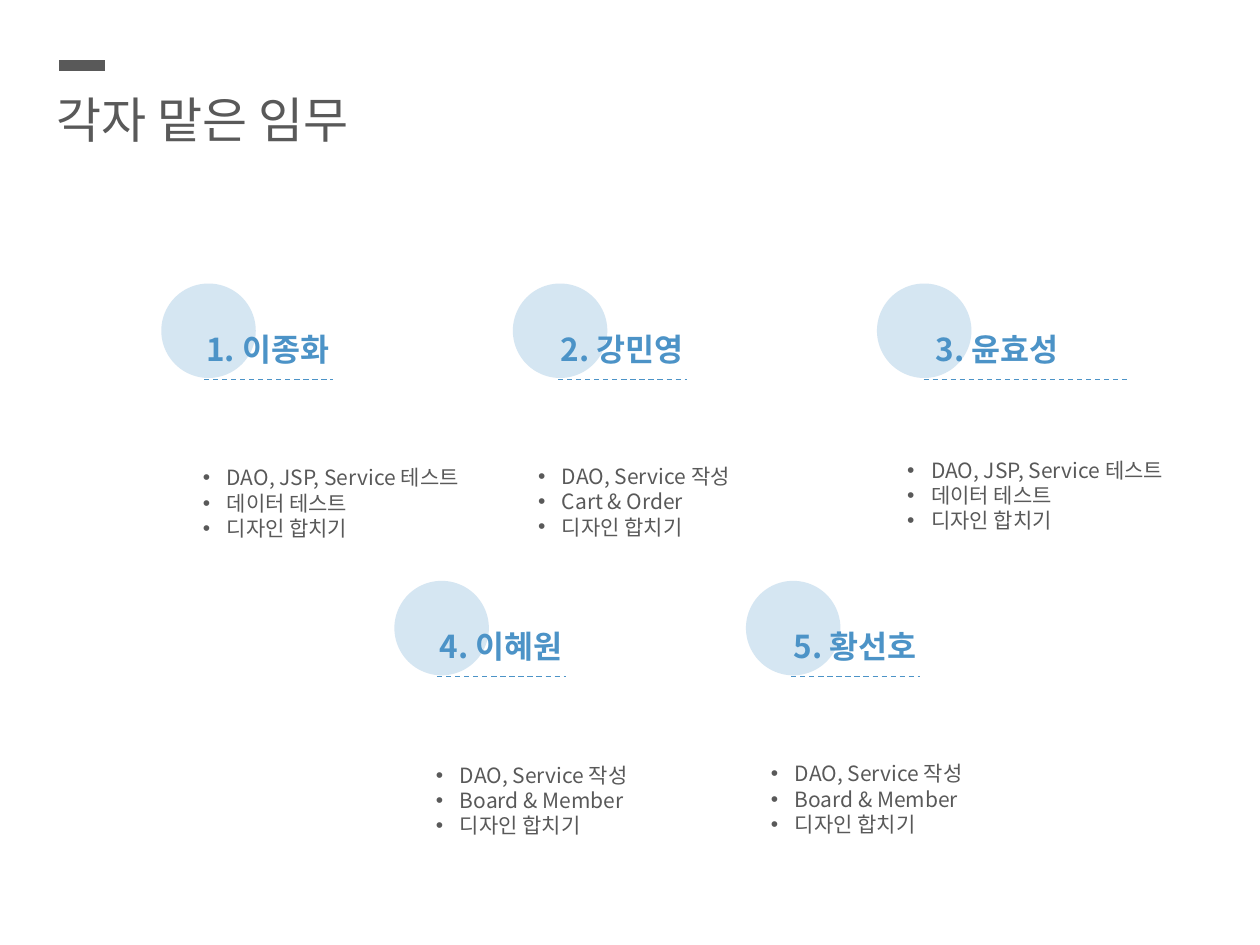
from dataclasses import dataclass

from lxml.etree import SubElement as Sub
from pptx import Presentation
from pptx.dml.color import RGBColor as RGB
from pptx.enum.dml import MSO_LINE as Dash
from pptx.enum.shapes import MSO_CONNECTOR as Conn, MSO_SHAPE as Kind
from pptx.enum.text import MSO_ANCHOR as Anchor, MSO_AUTO_SIZE as Fit, PP_ALIGN as Align
from pptx.oxml.ns import qn
from pptx.util import Inches as In, Pt


@dataclass(frozen=True)
class Theme:
    font: str = "Noto Sans CJK KR"
    gray: RGB = RGB(0x59, 0x59, 0x59)
    blue: RGB = RGB(0x4C, 0x93, 0xC7)
    alpha: int = 23
    title: int = 28
    head: int = 18
    list: int = 12
    lead: float = 1.2


@dataclass(frozen=True)
class Slot:
    """A column: circle left, then offsets from it, and the rule's length."""
    left: float
    head: float
    rule: float
    span: float
    list: float
    drop: float


THEME = Theme()
SLOTS = (
    Slot(1.28, 0.26, 0.34, 1.02, 0.23, 1.39),
    Slot(4.07, 0.28, 0.36, 1.02, 0.10, 1.38),
    Slot(6.96, 0.37, 0.37, 1.62, 0.14, 1.33),
)
TOP, STEP, SHIFT = 2.25, 2.36, 1.85
DISC, WIDE = 0.75, 2.56

DONE = "디자인 합치기"
# row, column, name, tasks
TEAM = (
    (0, 0, "1. 이종화", ("DAO, JSP, Service 테스트", "데이터 테스트", DONE)),
    (0, 1, "2. 강민영", ("DAO, Service 작성", "Cart & Order", DONE)),
    (0, 2, "3. 윤효성", ("DAO, JSP, Service 테스트", "데이터 테스트", DONE)),
    (1, 0, "4. 이혜원", ("DAO, Service 작성", "Board & Member", DONE)),
    (1, 1, "5. 황선호", ("DAO, Service 작성", "Board & Member", DONE)),
)


def place(box, x, y, w, h):
    box.left, box.top, box.width, box.height = In(x), In(y), In(w), In(h)


def write(box, lines, size, color, bold=False, dots=False):
    frame = box.text_frame
    frame.word_wrap = True
    frame.auto_size = Fit.NONE
    frame.vertical_anchor = Anchor.TOP
    for i, line in enumerate(lines):
        para = frame.add_paragraph() if i else frame.paragraphs[0]
        para.alignment = Align.LEFT
        para.line_spacing = Pt(size * THEME.lead)
        para.space_before = Pt(0)
        if dots:
            bullet(para)
        run = para.add_run()
        run.text = line
        font = run.font
        font.name, font.size, font.bold = THEME.font, Pt(size), bold
        font.color.rgb = color
        Sub(run._r.get_or_add_rPr(), qn("a:ea"), typeface=THEME.font)


def bullet(para):
    props = para._p.get_or_add_pPr()
    props.set("marL", str(In(0.19)))
    props.set("indent", str(In(-0.19)))
    Sub(props, qn("a:buFont"), typeface="Arial")
    Sub(props, qn("a:buChar"), char="•")


def rule(slide, x, y, w, color, width, dash=None):
    line = slide.shapes.add_connector(Conn.STRAIGHT, In(x), In(y), In(x + w), In(y))
    line.line.color.rgb = color
    line.line.width = Pt(width)
    if dash:
        line.line.dash_style = dash
    Sub(line._element.spPr, qn("a:effectLst"))


def disc(slide, x, y):
    dot = slide.shapes.add_shape(Kind.OVAL, In(x), In(y), In(DISC), In(DISC))
    dot.shadow.inherit = False
    dot.fill.solid()
    dot.fill.fore_color.rgb = THEME.blue
    dot.line.fill.background()
    tint = dot._element.spPr.find(qn("a:solidFill"))[0]
    Sub(tint, qn("a:alpha"), val=str(THEME.alpha * 1000))


def card(slide, body, row, col, name, tasks):
    """Draw one member; body is a placeholder, or None for a text box."""
    slot = SLOTS[col]
    x, y = slot.left + row * SHIFT, TOP + row * STEP
    disc(slide, x, y)
    head = slide.shapes.add_textbox(0, 0, 0, 0)
    place(head, x + slot.head, y + 0.32, WIDE, 0.4)
    write(head, [name], THEME.head, THEME.blue, bold=True)
    rule(slide, x + slot.rule, y + 0.76, slot.span, THEME.blue, 0.75, Dash.DASH)
    body = body or slide.shapes.add_textbox(0, 0, 0, 0)
    place(body, x + slot.list, y + slot.drop, WIDE, 0.71)
    write(body, tasks, THEME.list, THEME.gray, dots=True)


def main():
    deck = Presentation()
    deck.slide_width, deck.slide_height = In(10), In(7.5)
    # The comparison layout offers the most body placeholders: four
    slide = deck.slides.add_slide(deck.slide_layouts[4])
    title, *bodies = slide.placeholders
    place(title, 0.35, 0.66, 3.86, 0.57)
    write(title, ["각자 맡은 임무"], THEME.title, THEME.gray)
    rule(slide, 0.47, 0.52, 0.36, THEME.gray, 6)
    for body, member in zip([*bodies, None], TEAM):
        card(slide, body, *member)
    deck.save("out.pptx")


if __name__ == "__main__":
    main()
